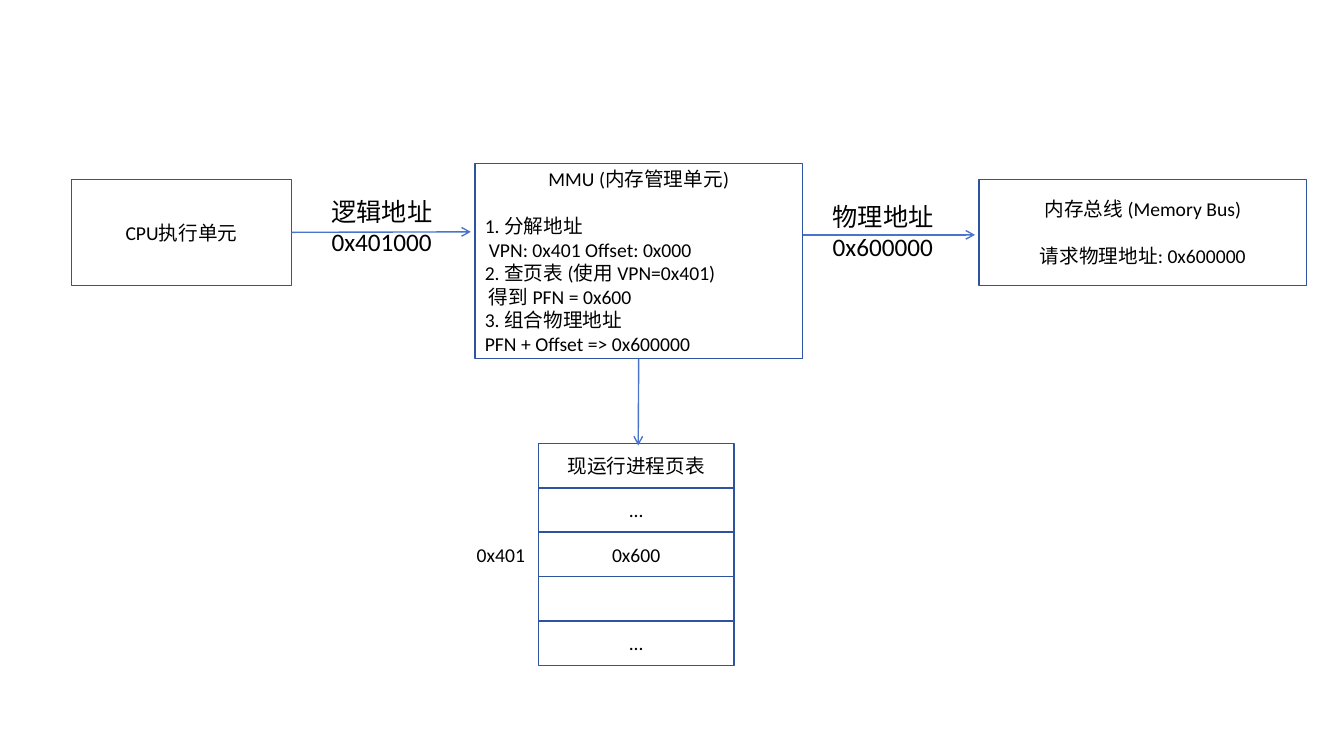
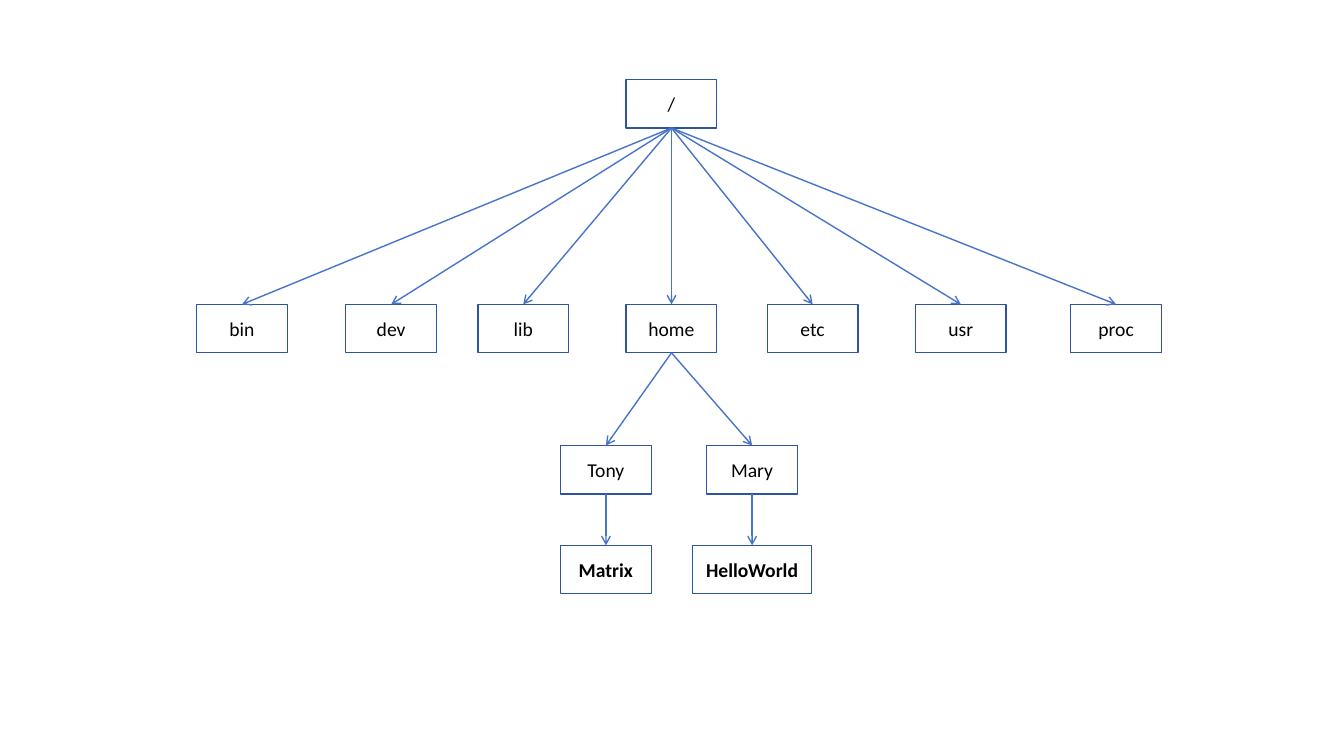
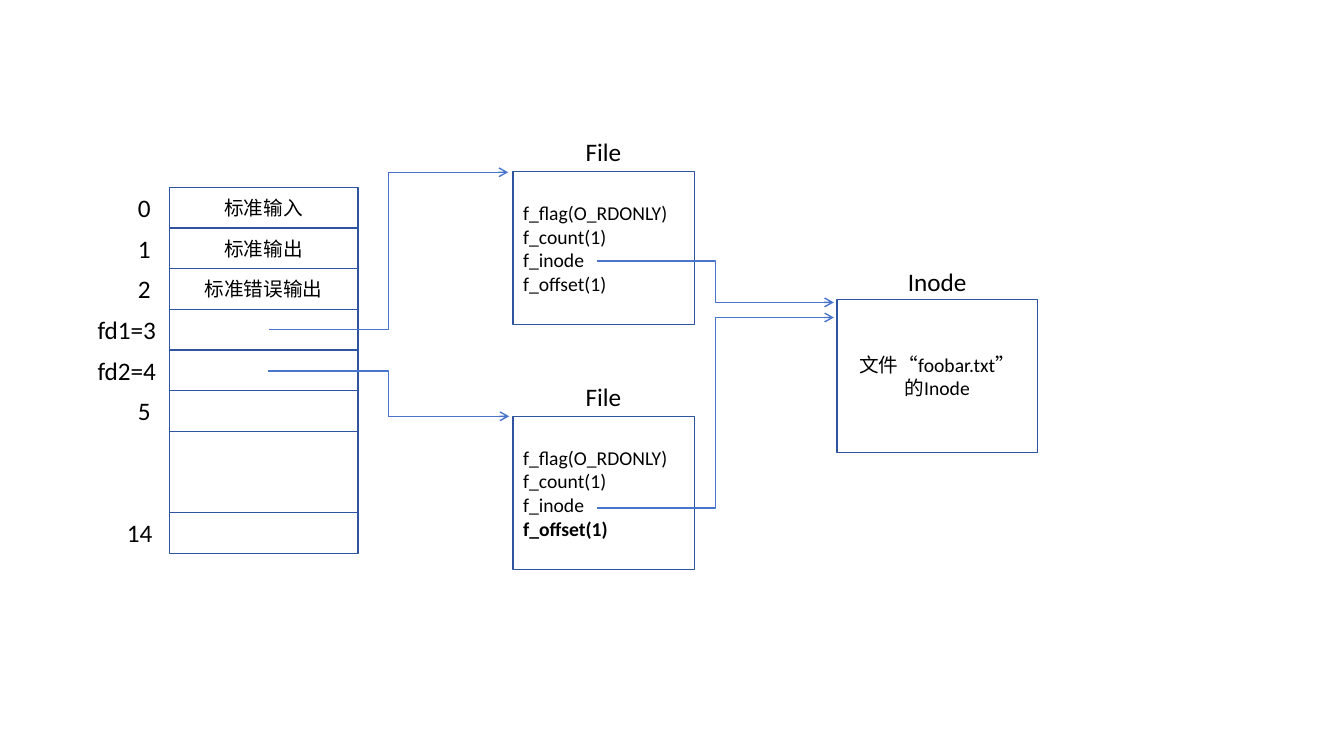
from dataclasses import dataclass

from lxml import etree
from pptx import Presentation
from pptx.dml.color import RGBColor
from pptx.enum.shapes import MSO_CONNECTOR, MSO_SHAPE
from pptx.enum.text import MSO_ANCHOR, MSO_AUTO_SIZE, PP_ALIGN
from pptx.oxml.ns import qn
from pptx.shapes.autoshape import Shape
from pptx.util import Inches, Pt

RECT = MSO_SHAPE.RECTANGLE
STRAIGHT, ELBOW = MSO_CONNECTOR.STRAIGHT, MSO_CONNECTOR.ELBOW
LEFT, CENTER = PP_ALIGN.LEFT, PP_ALIGN.CENTER
TOP, MIDDLE = MSO_ANCHOR.TOP, MSO_ANCHOR.MIDDLE
FIT_SHAPE = MSO_AUTO_SIZE.SHAPE_TO_FIT_TEXT
SIDE_TOP, SIDE_BOTTOM, SIDE_RIGHT = 0, 2, 3
BLANK_LAYOUT = 6


@dataclass(frozen=True)
class Theme:
    font: str = "Calibri"
    text: RGBColor = RGBColor(0x00, 0x00, 0x00)
    border: RGBColor = RGBColor(0x2E, 0x54, 0xA1)
    arrow: RGBColor = RGBColor(0x48, 0x74, 0xCB)
    line_width: int = 1
    body: int = 14
    label: int = 18
    gap: int = 17  # one empty body line, in points


@dataclass(frozen=True)
class Para:
    text: str
    align: PP_ALIGN = LEFT
    bold: bool = False
    indent: float = 0
    gap: bool = False


class Deck:
    """Holds the style and the current slide."""

    def __init__(self, prs, theme):
        self.prs, self.theme = prs, theme
        self.s = None

    def new_slide(self):
        self.s = self.prs.slides.add_slide(self.prs.slide_layouts[BLANK_LAYOUT])

    def add_text(self, tf, paras, size, anchor):
        tf.word_wrap = True
        tf.vertical_anchor = anchor
        for i, para in enumerate(paras):
            p = tf.paragraphs[0] if i == 0 else tf.add_paragraph()
            p.alignment = para.align
            if para.indent:
                p._p.get_or_add_pPr().set("marL", str(Inches(para.indent)))
            if para.gap:
                p.space_before = Pt(self.theme.gap)
            r = p.add_run()
            r.text = para.text
            r.font.name = self.theme.font
            r.font.size = Pt(size)
            r.font.bold = para.bold
            r.font.color.rgb = self.theme.text

    def box(self, x, y, w, h, *paras):
        sp = self.s.shapes.add_shape(RECT, Inches(x), Inches(y), Inches(w), Inches(h))
        sp.shadow.inherit = False
        sp.fill.background()
        sp.line.color.rgb = self.theme.border
        sp.line.width = Pt(self.theme.line_width)
        self.add_text(sp.text_frame, paras, self.theme.body, MIDDLE)
        return sp

    def node(self, x, y, w, h, text, bold=False):
        """A box with at most one centred line."""
        paras = [Para(text, CENTER, bold)] if text else []
        return self.box(x, y, w, h, *paras)

    def label(self, x, y, w, h, *lines, align=LEFT, size=None):
        sp = self.s.shapes.add_textbox(Inches(x), Inches(y), Inches(w), Inches(h))
        paras = [Para(line, align) for line in lines]
        self.add_text(sp.text_frame, paras, size or self.theme.label, TOP)
        sp.text_frame.auto_size = FIT_SHAPE

    def arrow(self, start, end, kind=STRAIGHT):
        """Each end is an (x, y) point or a (shape, side) pair."""
        points = [(0, 0) if isinstance(a, Shape) else (Inches(a), Inches(b))
                  for a, b in (start, end)]
        cx = self.s.shapes.add_connector(kind, *points[0], *points[1])
        if isinstance(start[0], Shape):
            cx.begin_connect(*start)
        if isinstance(end[0], Shape):
            cx.end_connect(*end)
        cx.line.color.rgb = self.theme.arrow
        cx.line.width = Pt(self.theme.line_width)
        etree.SubElement(cx.line._get_or_add_ln(), qn("a:tailEnd"), type="arrow")
        etree.SubElement(cx._element.spPr, qn("a:effectLst"))


def address_translation(deck):
    deck.new_slide()

    # Units
    cpu = deck.node(0.71, 1.78, 2.18, 1.05, "CPU执行单元")
    mmu = deck.box(
        4.71, 1.62, 3.25, 1.94,
        Para("MMU (内存管理单元)", CENTER),
        Para("1. 分解地址", gap=True),
        Para("VPN: 0x401 Offset: 0x000", indent=0.04),
        Para("2. 查页表 (使用 VPN=0x401)"),
        Para("得到 PFN = 0x600", indent=0.04),
        Para("3. 组合物理地址"),
        Para("PFN + Offset => 0x600000"))
    deck.box(9.71, 1.78, 3.25, 1.05,
             Para("内存总线 (Memory Bus)", CENTER),
             Para("请求物理地址: 0x600000", CENTER, gap=True))

    # Addresses on the way
    deck.arrow((cpu, SIDE_RIGHT), (4.67, 2.3))
    deck.label(3.19, 1.9, 1.34, 1.01, "逻辑地址", "0x401000")
    deck.arrow((7.96, 2.33), (9.67, 2.33))
    deck.label(8.16, 1.95, 1.34, 1.01, "物理地址", "0x600000")

    # Page table
    top, row_h = 4.4, 0.44
    for i, text in enumerate(["现运行进程页表", "...", "0x600", "", "..."]):
        deck.node(5.34, top + i * row_h, 1.94, row_h, text)
    deck.arrow((mmu, SIDE_BOTTOM), (6.33, 4.42))
    deck.label(4.63, 5.34, 0.71, 0.34, "0x401", size=deck.theme.body)


def directory_tree(deck):
    deck.new_slide()
    w, h = 0.9, 0.48

    def child(parent, x, y, text, width=w, bold=False):
        sp = deck.node(x, y, width, h, text, bold)
        deck.arrow((parent, SIDE_BOTTOM), (sp, SIDE_TOP))
        return sp

    # Root and its directories
    root = deck.node(6.21, 0.79, w, h, "/")
    lefts = {"bin": 1.95, "dev": 3.43, "lib": 4.74, "home": 6.21,
             "etc": 7.61, "usr": 9.08, "proc": 10.62}
    dirs = {name: child(root, x, 3.02, name) for name, x in lefts.items()}

    # Users and their files
    tony = child(dirs["home"], 5.56, 4.42, "Tony")
    mary = child(dirs["home"], 7.01, 4.42, "Mary")
    child(tony, 5.56, 5.41, "Matrix", bold=True)
    child(mary, 6.87, 5.41, "HelloWorld", width=1.18, bold=True)


def open_files(deck):
    deck.new_slide()

    # Descriptor table: label, label left, text, height in rows
    left, y = 1.68, 1.86
    row_h = (5.49 - y) / 9
    rows = [("0", 1.27, "标准输入", 1), ("1", 1.27, "标准输出", 1),
            ("2", 1.27, "标准错误输出", 1), ("fd1=3", 0.87, "", 1),
            ("fd2=4", 0.87, "", 1), ("5", 1.27, "", 1),
            ("", 0, "", 2), ("14", 1.16, "", 1)]
    for name, name_x, text, span in rows:
        deck.node(left, y, 1.87, span * row_h, text)
        if name:
            deck.label(name_x, y, left - name_x, row_h, name)
        y += span * row_h

    # File objects
    for top, offset_bold in ((1.7, False), (4.13, True)):
        deck.label(5.31, top - 0.4, 1.35, 0.4, "File", align=CENTER)
        deck.box(5.09, top, 1.8, 1.52,
                 Para("f_flag(O_RDONLY)"), Para("f_count(1)"),
                 Para("f_inode"), Para("f_offset(1)", bold=offset_bold))

    # Inode
    deck.label(8.69, 2.59, 1.21, 0.4, "Inode", align=CENTER)
    deck.box(8.3, 2.97, 1.99, 1.52,
             Para("文件“foobar.txt”", CENTER), Para("的Inode", CENTER))

    # References
    for start, end in (((2.67, 3.27), (5.04, 1.71)),
                       ((2.66, 3.68), (5.05, 4.13)),
                       ((5.92, 2.59), (8.27, 3)),
                       ((5.92, 5.04), (8.27, 3.15))):
        deck.arrow(start, end, ELBOW)


def main():
    prs = Presentation()
    prs.slide_width, prs.slide_height = Inches(13.33), Inches(7.5)
    deck = Deck(prs, Theme())
    address_translation(deck)
    directory_tree(deck)
    open_files(deck)
    prs.save("out.pptx")


if __name__ == "__main__":
    main()
